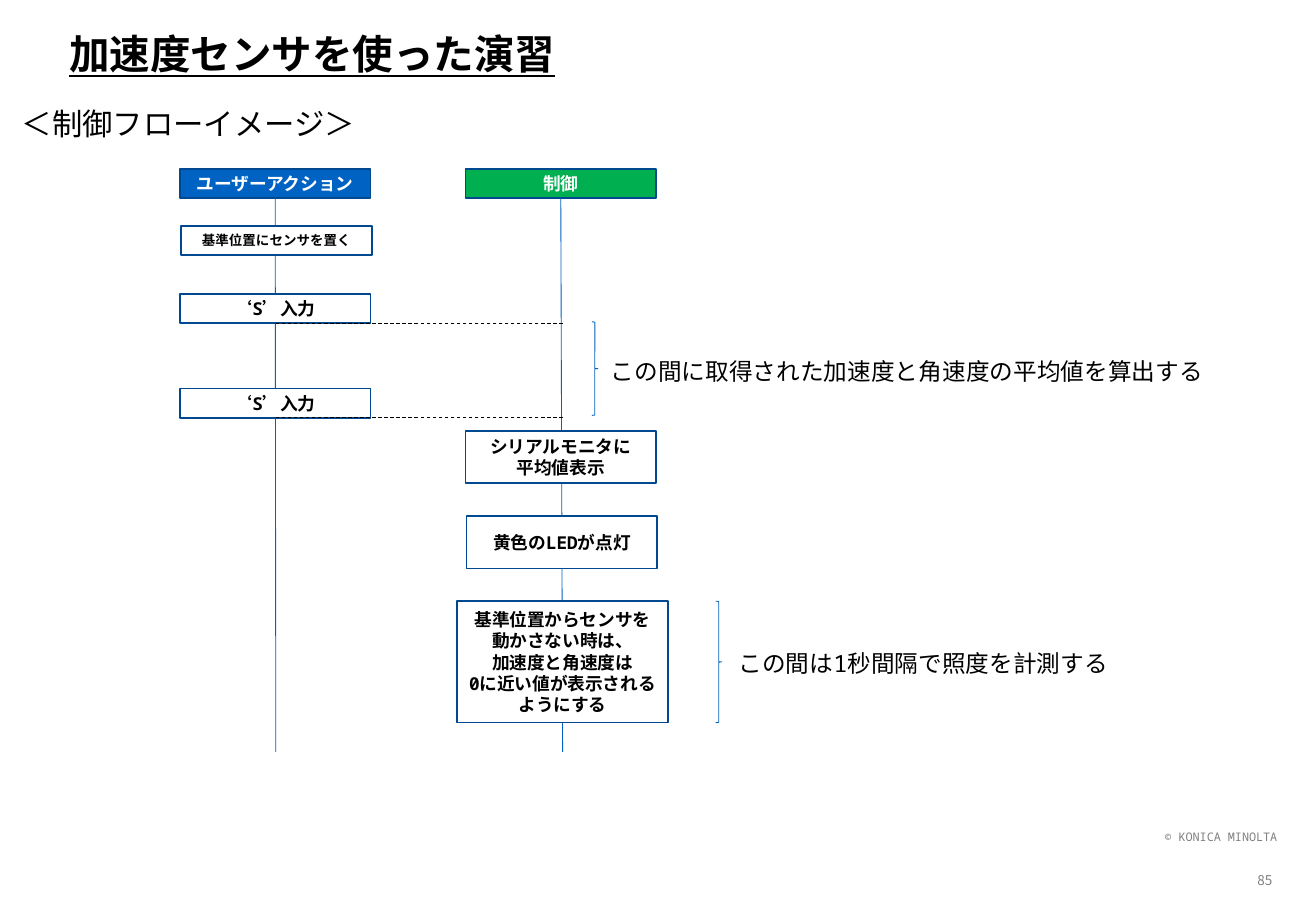
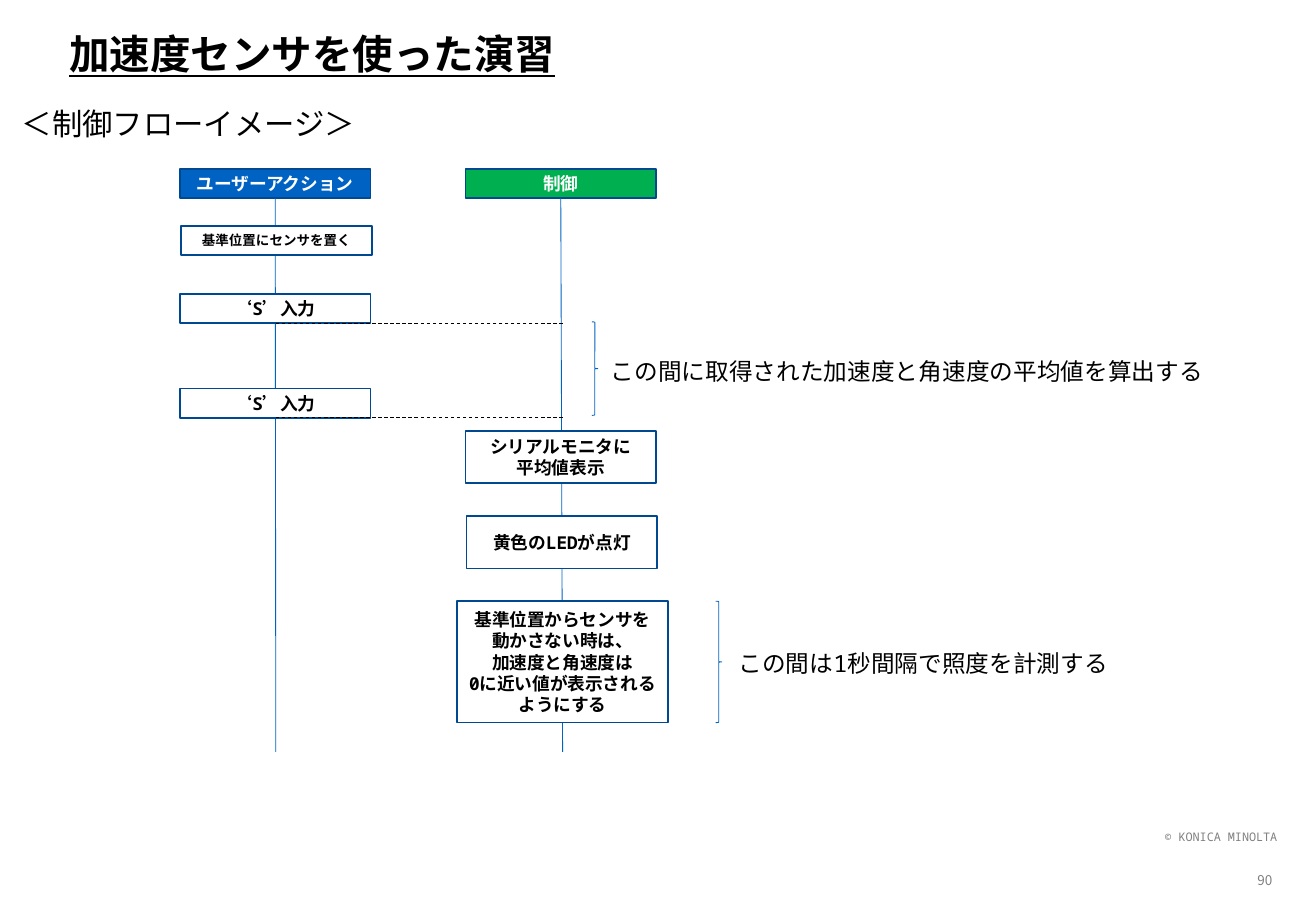
from dataclasses import dataclass

from lxml import etree
from pptx import Presentation
from pptx.dml.color import RGBColor
from pptx.enum.dml import MSO_LINE
from pptx.enum.shapes import MSO_CONNECTOR, MSO_SHAPE
from pptx.enum.text import MSO_ANCHOR, MSO_AUTO_SIZE, PP_ALIGN
from pptx.oxml.ns import qn
from pptx.util import Emu, Pt

PX = 9144  # 100 px to the inch
LEFT, CENTER, RIGHT = PP_ALIGN.LEFT, PP_ALIGN.CENTER, PP_ALIGN.RIGHT
TOP, MIDDLE = MSO_ANCHOR.TOP, MSO_ANCHOR.MIDDLE
STRAIGHT, DASH = MSO_CONNECTOR.STRAIGHT, MSO_LINE.DASH
RECTANGLE, RIGHT_BRACE = MSO_SHAPE.RECTANGLE, MSO_SHAPE.RIGHT_BRACE
FIT_TEXT = MSO_AUTO_SIZE.SHAPE_TO_FIT_TEXT
BOTTOM_SIDE = 2


@dataclass(frozen=True)
class Theme:
    font: str = "Noto Sans Mono"
    cjk_font: str = "Noto Sans CJK JP"
    black: str = "000000"
    white: str = "FFFFFF"
    gray: str = "808080"
    blue: str = "0062C2"
    navy: str = "004990"
    green: str = "00B050"
    title_size: float = 24
    heading_size: float = 18
    note_size: float = 14
    box_size: float = 10.5
    small_size: float = 8
    copyright_size: float = 7
    thin: float = 0.5
    border: float = 1


def px(*lengths):
    return [Emu(length * PX) for length in lengths]


class FlowDeck:
    def __init__(self, theme, width, height):
        self.theme = theme
        self.deck = Presentation()
        self.deck.slide_width, self.deck.slide_height = px(width, height)
        self.page = None

    def fill_text(self, frame, text, size, color, align=LEFT, anchor=TOP,
                  bold=False, underline=False, font=None, spacing=None):
        """Fill a text frame, one paragraph for each line of text."""
        frame.word_wrap = True
        frame.vertical_anchor = anchor
        for index, line in enumerate(text.split("\n")):
            para = frame.add_paragraph() if index else frame.paragraphs[0]
            para.text = line
            para.alignment = align
            if spacing:
                para.line_spacing = spacing
            style = para.font
            style.name = font or self.theme.font
            style.size = Pt(size)
            style.bold = bold
            style.underline = underline
            style.color.rgb = RGBColor.from_string(color)
            properties = para._p.pPr.find(qn("a:defRPr"))
            east_asian = etree.SubElement(properties, qn("a:ea"))
            east_asian.set("typeface", self.theme.cjk_font)

    def text(self, place, text, size, color=None, grow=True, **style):
        box = self.page.shapes.add_textbox(*px(*place))
        self.fill_text(box.text_frame, text, size, color or self.theme.black,
                       **style)
        if grow:
            box.text_frame.auto_size = FIT_TEXT

    def outline(self, line, color, width):
        line.color.rgb = RGBColor.from_string(color)
        line.width = Pt(width)

    def box(self, place, text, fill=None, color=None, size=None):
        theme = self.theme
        box = self.page.shapes.add_shape(RECTANGLE, *px(*place))
        box.shadow.inherit = False
        box.fill.solid()
        box.fill.fore_color.rgb = RGBColor.from_string(fill or theme.white)
        self.outline(box.line, theme.navy, theme.border)
        self.fill_text(box.text_frame, text, size or theme.box_size,
                       color or theme.black, align=CENTER, anchor=MIDDLE,
                       bold=True)
        return box

    def brace(self, place):
        brace = self.page.shapes.add_shape(RIGHT_BRACE, *px(*place))
        brace.shadow.inherit = False
        brace.fill.background()
        self.outline(brace.line, self.theme.blue, self.theme.thin)

    def line(self, start, end, color):
        line = self.page.shapes.add_connector(STRAIGHT, *px(*start, *end))
        self.outline(line.line, color, self.theme.thin)
        return line

    def clear_shadow(self, line):
        etree.SubElement(line._element.spPr, qn("a:effectLst"))

    def lane(self, x, header):
        lane = self.line((x, 163), (x, 619), self.theme.blue)
        lane.begin_connect(header, BOTTOM_SIDE)
        self.clear_shadow(lane)

    def dashed(self, lane_x, y, box):
        """Join a lane to the bottom of an input box."""
        line = self.line((lane_x, y), (227, y), self.theme.black)
        line.line.dash_style = DASH
        line.end_connect(box, BOTTOM_SIDE)
        self.clear_shadow(line)

    def new_page(self, title, number):
        theme = self.theme
        self.page = self.deck.slides.add_slide(self.deck.slide_layouts[6])
        self.text((861, 678, 200, 22), "© KONICA MINOLTA", theme.copyright_size,
                  theme.gray, align=RIGHT)
        self.text((1021, 708, 40, 33), str(number), theme.small_size, theme.gray,
                  grow=False, align=CENTER, anchor=MIDDLE, font=theme.cjk_font)
        self.text((47, 21, 806, 51), title, theme.title_size, grow=False,
                  anchor=MIDDLE, bold=True, underline=True, spacing=0.9)

    def control_flow(self):
        theme = self.theme
        user_x, control_x, width, low, tall = 148, 383, 157, 24, 43
        self.text((8, 82, 1053, 40), "＜制御フローイメージ＞", theme.heading_size)

        user = self.box((user_x, 139, width, low), "ユーザーアクション",
                        theme.blue, theme.white)
        control = self.box((control_x, 139, width, low), "制御",
                           theme.green, theme.white)
        self.lane(227, user)
        self.lane(463, control)

        self.box((user_x + 1, 186, width, low), "基準位置にセンサを置く",
                 size=theme.small_size)
        for top in (242, 320):
            entry = self.box((user_x, top, width, low), "‘S’入力")
            self.dashed(463, top + low, entry)

        self.box((control_x, 355, width, tall), "シリアルモニタに\n平均値表示")
        self.box((control_x + 1, 425, width, tall), "黄色のLEDが点灯")
        self.box((376, 495, 174, 100),
                 "基準位置からセンサを動かさない時は、\n加速度と角速度は\n"
                 "0に近い値が表示されるようにする")

        self.brace((487, 265, 5, 77))
        self.text((493, 289, 563, 34),
                  "この間に取得された加速度と角速度の平均値を算出する", theme.note_size)
        self.brace((589, 495, 5, 100))
        self.text((598, 529, 329, 34), "この間は1秒間隔で照度を計測する",
                  theme.note_size)


def main():
    flow = FlowDeck(Theme(), 1083, 750)
    for number in (85, 90):
        flow.new_page("加速度センサを使った演習", number)
        flow.control_flow()
    flow.deck.save("out.pptx")


if __name__ == "__main__":
    main()
